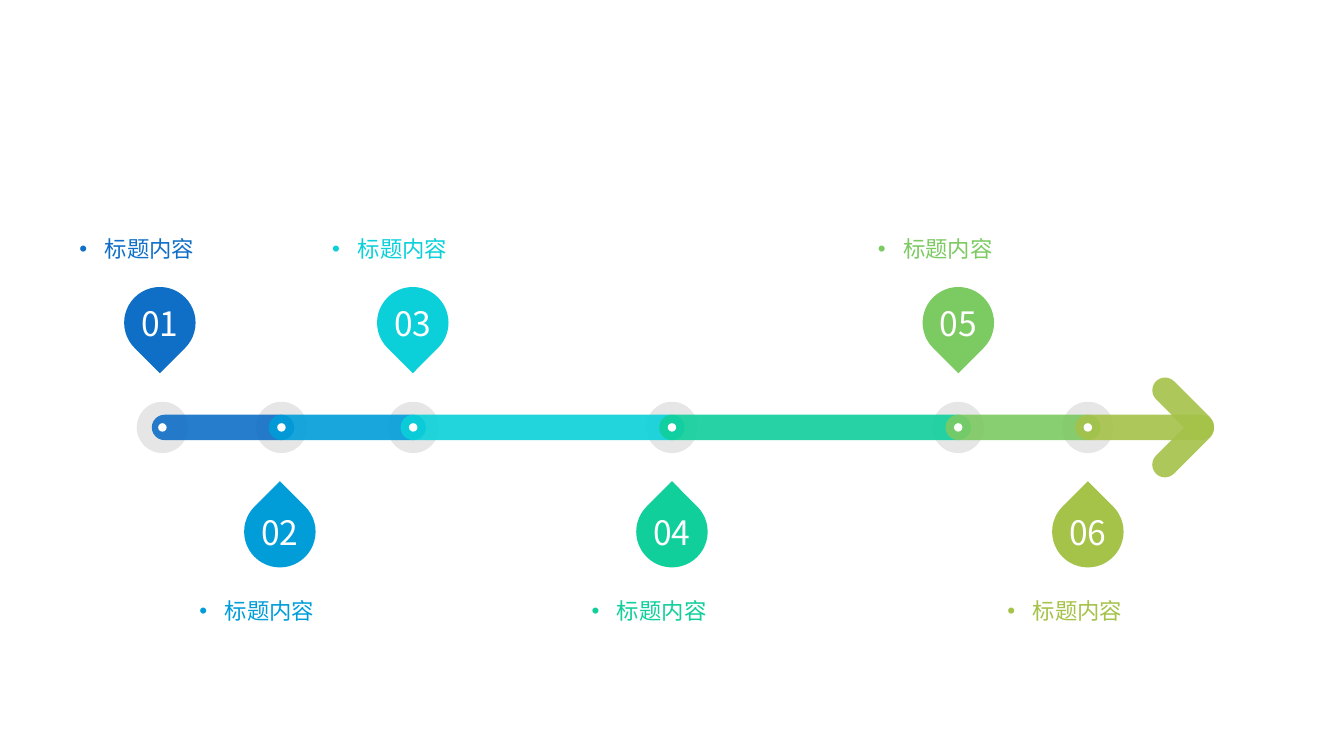
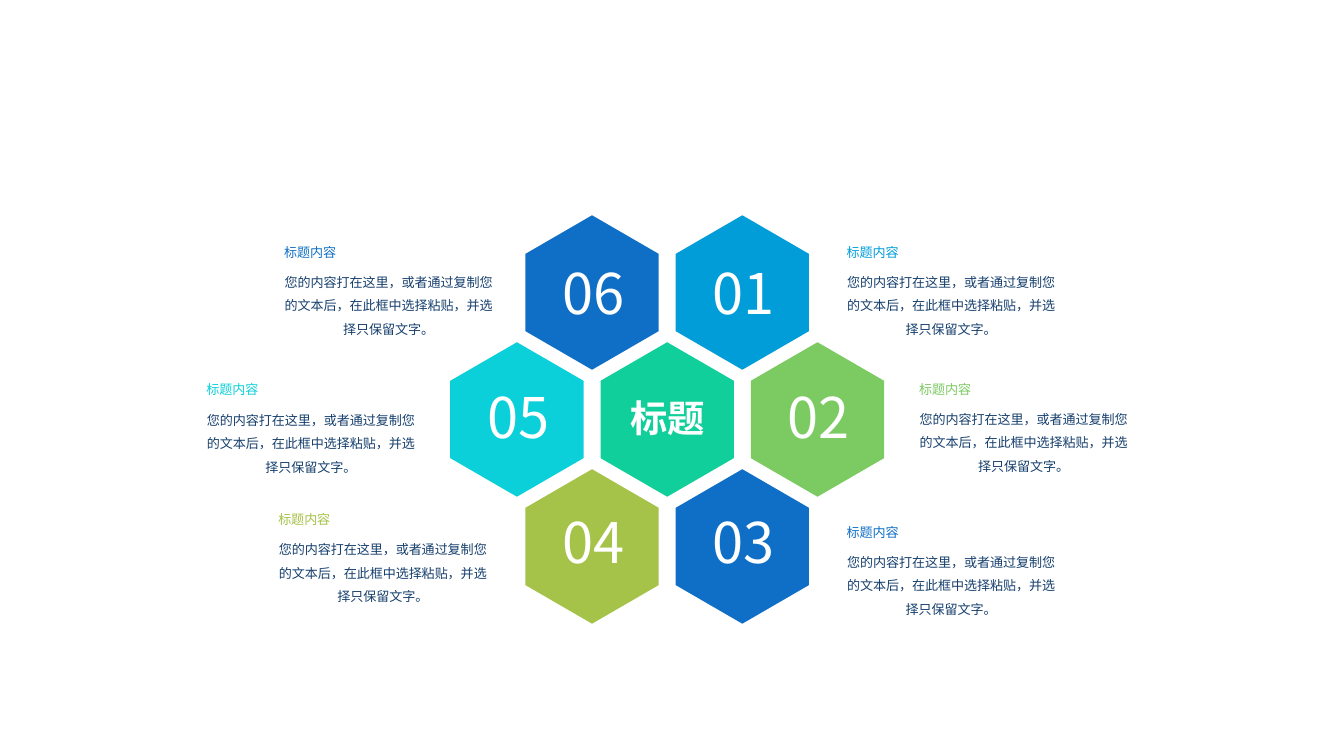
from lxml.etree import SubElement
from pptx import Presentation
from pptx.dml.color import RGBColor
from pptx.enum.shapes import MSO_SHAPE as Preset
from pptx.enum.text import MSO_ANCHOR as Anchor, PP_ALIGN as Align
from pptx.oxml.ns import qn
from pptx.util import Cm, Pt

FONT = "Noto Sans CJK SC"
COLORS = {
    "blue": "0F6FC6",
    "sky": "009DD9",
    "cyan": "0BD0D9",
    "teal": "10CF9B",
    "green": "7CCA62",
    "olive": "A5C249",
    "navy": "17406D",
    "halo": "0D0D0D",
    "white": "FFFFFF",
}
HEADING = "标题内容"
BODY = "您的内容打在这里，或者通过复制您的文本后，在此框中选择粘贴，并选择只保留文字。"

# number, colour, node x, pin x
MILESTONES = [
    ("01", "blue", 3.07, 3.02),
    ("02", "sky", 5.32, 5.29),
    ("03", "cyan", 7.81, 7.8),
    ("04", "teal", 12.7, 12.7),
    ("05", "green", 18.11, 18.11),
    ("06", "olive", 20.56, 20.56),
]
AXIS_Y, BAR, HALO, DOT, PIN = 8.08, 0.48, 0.97, 0.16, 1.35
AXIS_START, AXIS_END = 2.87, 22.94
HEAD_X, HEAD_LENGTH, HEAD_RISE = 22.36, 1.45, 0.36
ABOVE = {"pin_y": 6.1, "angle": 135, "label_y": 4.2, "label_height": 0.66}
BELOW = {"pin_y": 10.05, "angle": 315, "label_y": 11.03, "label_height": 0.89}

# number, colour, half-columns from centre, row, body left, body top
CELLS = [
    ("01", "sky", 1, -1, 15.97, 5.04),
    ("02", "green", 2, 0, 17.34, 7.63),
    ("03", "blue", 1, 1, 15.97, 10.33),
    ("04", "olive", -1, 1, 5.23, 10.09),
    ("05", "cyan", -2, 0, 3.87, 7.64),
    ("06", "blue", -1, -1, 5.34, 5.04),
]
CENTRE = ("标题", "teal")
HEX_X, HEX_Y, HEX_WIDTH, HEX_HEIGHT = 12.61, 7.93, 2.52, 2.92
HALF_COLUMN, ROW = 1.42, 2.4


def paint(shape, color, alpha=100):
    shape.shadow.inherit = False
    shape.line.fill.background()
    shape.fill.solid()
    shape.fill.fore_color.rgb = RGBColor.from_string(COLORS[color])
    if alpha < 100:
        tint = shape.fill._xPr.find(qn("a:solidFill"))[0]
        SubElement(tint, qn("a:alpha"), val=str(alpha * 1000))


def add_preset(shapes, preset, x, y, width, height, color, alpha=100, angle=0):
    shape = shapes.add_shape(preset, Cm(x - width / 2), Cm(y - height / 2), Cm(width), Cm(height))
    paint(shape, color, alpha)
    shape.rotation = angle
    return shape


def add_bar(shapes, x, y, length, color, angle=0):
    bar = add_preset(shapes, Preset.ROUNDED_RECTANGLE, x, y, length, BAR, color, 90, angle)
    bar.adjustments[0] = 0.5


def add_outline(slide, corners):
    points = [(Cm(x), Cm(y)) for x, y in corners]
    outline = slide.shapes.build_freeform(*points[0])
    outline.add_line_segments(points[1:], close=True)
    return outline.convert_to_shape()


def add_panel(slide, left, top, width, height):
    right, bottom = left + width, top + height
    panel = add_outline(slide, [(left, top), (right, top), (right, bottom), (left, bottom)])
    panel.shadow.inherit = False
    panel.fill.background()
    panel.line.fill.background()
    return panel


def add_box(slide, left, top, width, height):
    return slide.shapes.add_textbox(Cm(left), Cm(top), Cm(width), Cm(height))


def write(holder, text, size, color, align=Align.LEFT, anchor=Anchor.TOP, inset=0,
          spacing=None, bold=False, bullet=False):
    frame = holder.text_frame
    frame.word_wrap = True
    frame.vertical_anchor = anchor
    frame.margin_left = frame.margin_right = Cm(inset)
    frame.margin_top = frame.margin_bottom = Cm(inset)
    paragraph = frame.paragraphs[0]
    paragraph.text = text
    paragraph.alignment = align
    properties = paragraph._p.get_or_add_pPr()
    if bullet:
        properties.set("marL", str(Cm(0.48)))
        properties.set("indent", str(-Cm(0.48)))
        SubElement(properties, qn("a:buFont"), typeface="Arial")
        SubElement(properties, qn("a:buChar"), char="•")
    if spacing:
        paragraph.line_spacing = spacing
    font = paragraph.font
    font.size = Pt(size)
    font.bold = bold
    font.color.rgb = RGBColor.from_string(COLORS[color])
    font.name = FONT
    SubElement(properties.find(qn("a:defRPr")), qn("a:ea"), typeface=FONT)


def add_hexagon(slide, x, y, color):
    half, quarter = HEX_WIDTH / 2, HEX_HEIGHT / 4
    corners = [(0, -2), (1, -1), (1, 1), (0, 2), (-1, 1), (-1, -1)]
    paint(add_outline(slide, [(x + i * half, y + j * quarter) for i, j in corners]), color)


def build_timeline(slide):
    for _, _, node_x, _ in MILESTONES:
        add_preset(slide.shapes, Preset.OVAL, node_x, AXIS_Y, HALO, HALO, "halo", 10)

    for index, (number, color, _, pin_x) in enumerate(MILESTONES):
        side = BELOW if index % 2 else ABOVE
        add_preset(slide.shapes, Preset.TEAR, pin_x, side["pin_y"], PIN, PIN, color,
                   angle=side["angle"])
        count = add_box(slide, pin_x - PIN / 2, side["pin_y"] - 0.5, PIN, 1.02)
        write(count, number, 18, "white", Align.CENTER, Anchor.MIDDLE, inset=0.13)
        label = add_box(slide, pin_x - 1.52, side["label_y"], 3.05, side["label_height"])
        write(label, HEADING, 12, color, spacing=1.5, bullet=True)

    ends = [node_x + BAR / 2 for _, _, node_x, _ in MILESTONES[1:]] + [AXIS_END]
    for (_, color, node_x, _), end in zip(MILESTONES, ends):
        segment = slide.shapes.add_group_shape().shapes
        start = max(AXIS_START, node_x - BAR / 2)
        add_bar(segment, (start + end) / 2, AXIS_Y, end - start, color)
        if end == AXIS_END:
            for direction, angle in ((1, 315), (-1, 45)):
                add_bar(segment, HEAD_X, AXIS_Y + direction * HEAD_RISE, HEAD_LENGTH, color, angle)
        add_preset(segment, Preset.OVAL, node_x, AXIS_Y, DOT, DOT, "white")


def build_honeycomb(slide):
    title, title_color = CENTRE
    add_hexagon(slide, HEX_X, HEX_Y, title_color)
    write(add_panel(slide, HEX_X - 0.75, HEX_Y - 0.64, 1.73, 1.19), title, 20, "white",
          anchor=Anchor.MIDDLE, inset=0.05, bold=True)

    for number, color, column, row, left, top in CELLS:
        x = HEX_X + column * HALF_COLUMN
        add_hexagon(slide, x, HEX_Y + row * ROW, color)
        write(add_panel(slide, x - 0.61, 7.28 + row * 2.35, 1.45, 1.19), number, 30, "white",
              anchor=Anchor.MIDDLE, inset=0.05)
        write(add_panel(slide, left, top, 4.01, 1.09), BODY, 7, "navy", Align.CENTER, spacing=1.5)
        heading_width = 2.54 if column > 0 else 4.01
        write(add_panel(slide, left - 0.02, top - 0.59, heading_width, 0.48), HEADING, 7, color,
              anchor=Anchor.MIDDLE, inset=0.05, spacing=1.5)


def main():
    deck = Presentation()
    deck.slide_width, deck.slide_height = Cm(25.4), Cm(14.29)
    blank = deck.slide_layouts[6]
    for build in (build_timeline, build_honeycomb):
        build(deck.slides.add_slide(blank))
    deck.save("out.pptx")


if __name__ == "__main__":
    main()
